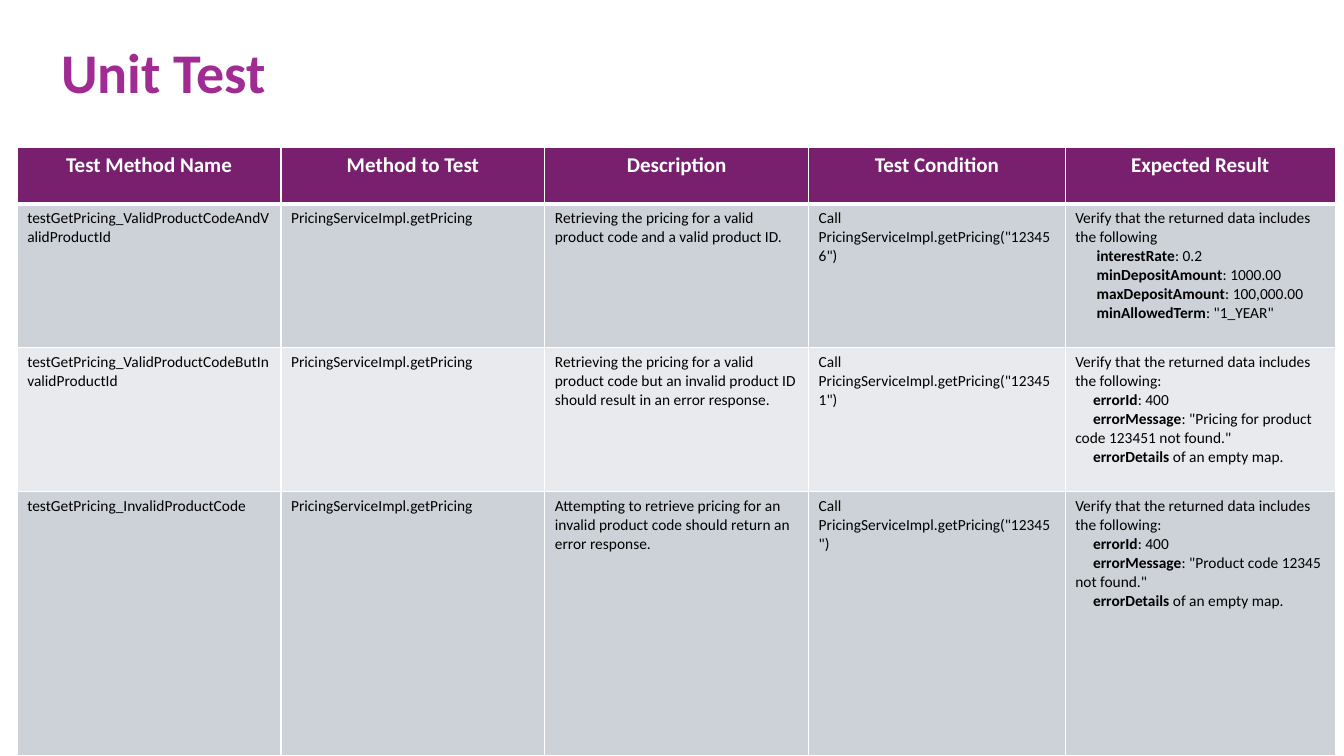
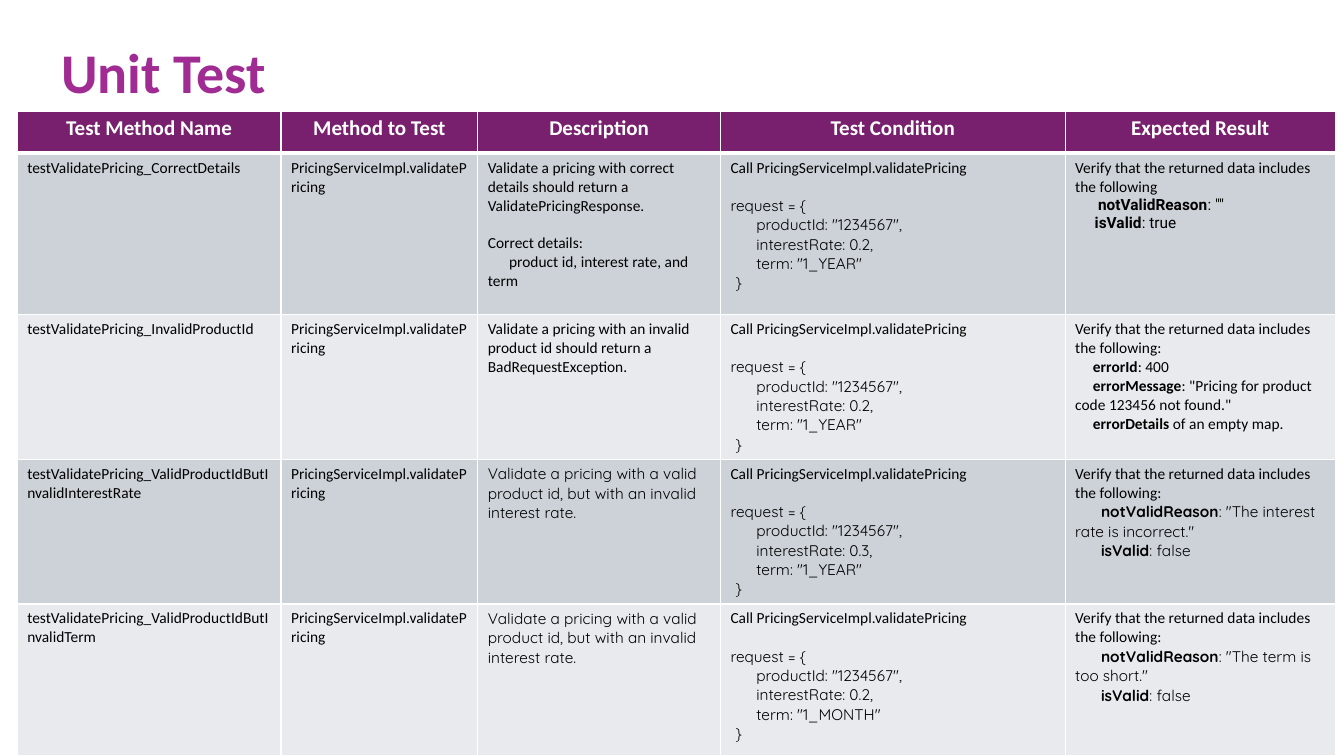
from dataclasses import dataclass
from lxml.etree import SubElement as Sub
from pptx import Presentation
from pptx.dml.color import RGBColor as Rgb
from pptx.enum.text import MSO_ANCHOR as Anchor, PP_ALIGN as Align
from pptx.oxml.ns import qn
from pptx.util import Inches, Pt


@dataclass(frozen=True)
class Theme:
    title: str = "A02B93"
    head: str = "78206E"
    bands: tuple = ("CCD2D8", "E8EAED")
    ink: str = "000000"
    white: str = "FFFFFF"
    sans: str = "Calibri"
    code: str = "Quicksand"
    alt: str = "Roboto"
    big: int = 40
    mid: int = 15
    small: int = 11
    gap: float = 13.4


@dataclass(frozen=True)
class Line:
    text: str
    font: str = Theme.sans
    dent: float = 0
    gap: float = 0


theme = Theme()
deck = Presentation()
deck.slide_width, deck.slide_height = Inches(13.33), Inches(7.5)
across, down = deck.slide_width / 100, deck.slide_height / 100


def write(frame, lines, size, tone, bold=False, align=Align.LEFT):
    for i, line in enumerate(lines):
        para = frame.add_paragraph() if i else frame.paragraphs[0]
        para.alignment = align
        if line.gap:
            para.space_before = Pt(line.gap)
        if line.dent:
            props = para._p.get_or_add_pPr()
            props.set("marL", "0")
            props.set("indent", str(int(line.dent * across)))
        for j, part in enumerate(line.text.split("*")):
            if part:
                run = para.add_run()
                run.text = part
                run.font.name = line.font
                run.font.size = Pt(size)
                run.font.bold = bold or j % 2 == 1
                run.font.color.rgb = Rgb.from_string(tone)


def edge(cell, top, base):
    props = cell._tc.get_or_add_tcPr()
    for side, width in zip("LRTB", (1, 1, top, base)):
        line = Sub(props, qn(f"a:ln{side}"), w=str(Pt(width)))
        Sub(Sub(line, qn("a:solidFill")), qn("a:srgbClr"), val=theme.white)


heads = ["Test Method Name", "Method to Test", "Description", "Test Condition", "Expected Result"]
check = Line("Verify that the returned data includes the following:")
plain = Line("Verify that the returned data includes the following")

fails = [
    [check,
     Line("*errorId*: 400", dent=1.32),
     Line(f'*errorMessage*: "{note} not found."', dent=1.32),
     Line("*errorDetails* of an empty map.", dent=1.32)]
    for note in ("Pricing for product code 123451", "Product code 12345", "Pricing for product code 123456")
]
wrongs = [
    [check,
     Line(f'*notValidReason*: "{note}"', theme.code, 1.92),
     Line("*isValid*: false", theme.code, 1.92)]
    for note in ("The interest rate is incorrect.", "The term is too short.")
]
calls = [
    [Line("Call PricingServiceImpl.validatePricing"),
     Line("request = {", theme.code, gap=theme.gap),
     Line('productId: "1234567",', theme.code, 1.92),
     Line(f"interestRate: {rate},", theme.code, 1.92),
     Line(f'term: "{term}"', theme.code, 1.92),
     Line("}", theme.code, 0.36)]
    for rate, term in ((0.2, "1_YEAR"), (0.2, "1_YEAR"), (0.3, "1_YEAR"), (0.2, "1_MONTH"))
]
terms = [
    plain,
    Line("*interestRate*: 0.2", dent=1.58),
    Line("*minDepositAmount*: 1000.00", dent=1.58),
    Line("*maxDepositAmount*: 100,000.00", dent=1.58),
    Line('*minAllowedTerm*: "1_YEAR"', dent=1.58),
]
valid = [
    plain,
    Line('*notValidReason*: ""', theme.alt, 1.7),
    Line("*isValid*: true", theme.alt, 1.45),
]
right = [
    Line("Validate a pricing with correct details should return a ValidatePricingResponse."),
    Line("Correct details:", gap=theme.gap),
    Line("product id, interest rate, and term", dent=1.58),
]
rate = [Line("Validate a pricing with a valid product id, but with an invalid interest rate.", theme.code)]

gets = [
    ("testGetPricing_ValidProductCodeAndValidProductId",
     [Line("Retrieving the pricing for a valid product code and a valid product ID.")],
     [Line('Call PricingServiceImpl.getPricing("123456")')], terms),
    ("testGetPricing_ValidProductCodeButInvalidProductId",
     [Line("Retrieving the pricing for a valid product code but an invalid product ID "
           "should result in an error response.")],
     [Line('Call PricingServiceImpl.getPricing("123451")')], fails[0]),
    ("testGetPricing_InvalidProductCode",
     [Line("Attempting to retrieve pricing for an invalid product code should return an error response.")],
     [Line('Call PricingServiceImpl.getPricing("12345")')], fails[1]),
]
checks = [
    ("testValidatePricing_CorrectDetails", right, calls[0], valid),
    ("testValidatePricing_InvalidProductId",
     [Line("Validate a pricing with an invalid product id should return a BadRequestException.")],
     calls[1], fails[2]),
    ("testValidatePricing_ValidProductIdButInvalidInterestRate", rate, calls[2], wrongs[0]),
    ("testValidatePricing_ValidProductIdButInvalidTerm", rate, calls[3], wrongs[1]),
]
pages = [
    ("getPricing", gets, 19.47, [19.63, 19.63, 19.63, 19.09, 20.1], [7.47, 19.05, 19.05]),
    ("validatePricing", checks, 14.67, [19.63, 14.64, 18.06, 25.65, 20.1], [5.6, 21.33, 19.15, 19.15]),
]

for method, tests, top, cols, rows in pages:
    slide = deck.slides.add_slide(deck.slide_layouts[6])
    box = slide.shapes.add_textbox(
        int(3.83 * across), int(4.8 * down), int(87.6 * across), int(9.87 * down))
    frame = box.text_frame
    frame.word_wrap = True
    frame.vertical_anchor = Anchor.BOTTOM
    write(frame, [Line("Unit Test")], theme.big, theme.title, True)
    frame.paragraphs[0].line_spacing = 0.9

    rows = rows + [100 - top - sum(rows)]
    grid = slide.shapes.add_table(
        len(rows), len(cols), int(1.28 * across), int(top * down),
        int(sum(cols) * across), int(sum(rows) * down)).table
    for col, share in zip(grid.columns, cols):
        col.width = int(share * across)
    for row, share in zip(grid.rows, rows):
        row.height = int(share * down)

    body = [([Line(name)], [Line(f"PricingServiceImpl.{method}")], *rest) for name, *rest in tests]
    for r, texts in enumerate([[[Line(head)] for head in heads]] + body):
        for c, lines in enumerate(texts):
            cell = grid.cell(r, c)
            edge(cell, 3 if r == 1 else 1, 1 if r else 3)
            cell.fill.solid()
            cell.fill.fore_color.rgb = Rgb.from_string(theme.bands[(r - 1) % 2] if r else theme.head)
            if r:
                write(cell.text_frame, lines, theme.small, theme.ink)
            else:
                write(cell.text_frame, lines, theme.mid, theme.white, True, Align.CENTER)

deck.save("out.pptx")
